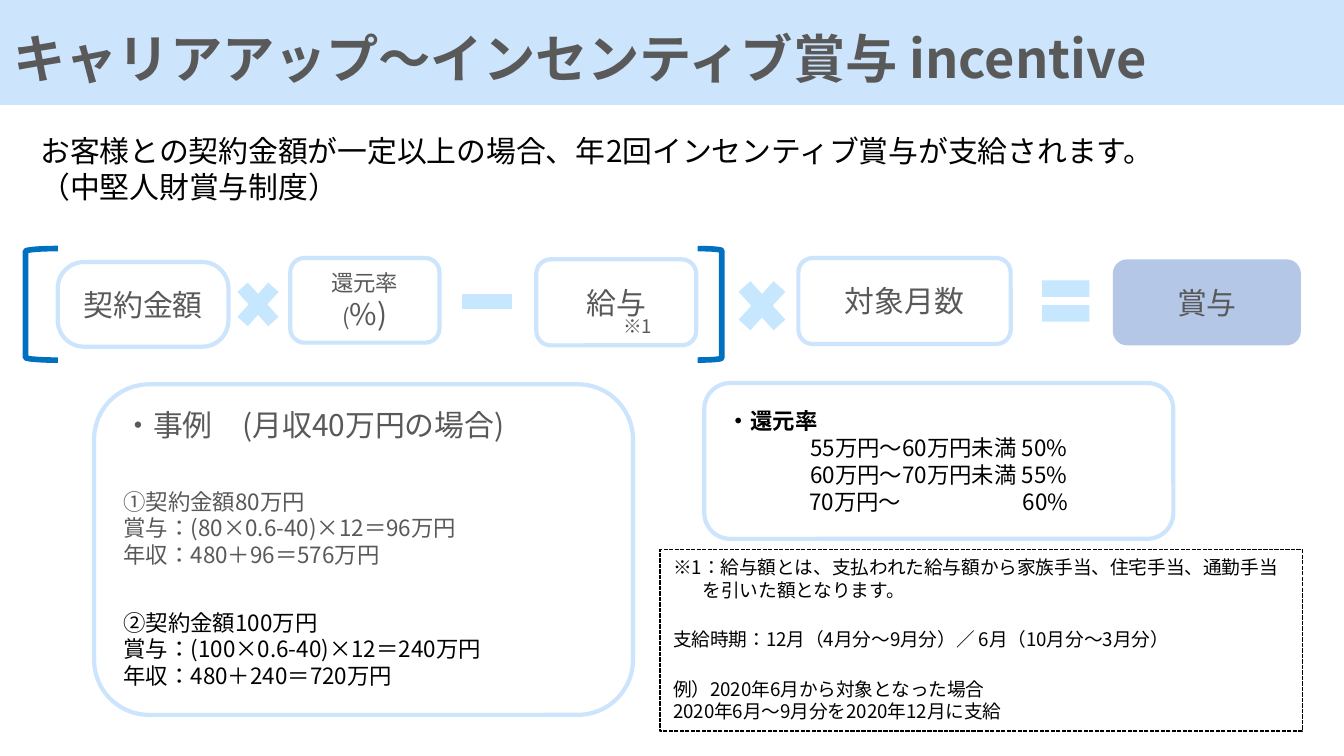
from lxml import etree
from pptx import Presentation
from pptx.dml.color import RGBColor
from pptx.enum.dml import MSO_LINE
from pptx.enum.lang import MSO_LANGUAGE_ID
from pptx.enum.shapes import MSO_SHAPE
from pptx.enum.text import MSO_ANCHOR, MSO_AUTO_SIZE, PP_ALIGN
from pptx.oxml.ns import qn
from pptx.util import Inches, Pt

ROUND, RECT = MSO_SHAPE.ROUNDED_RECTANGLE, MSO_SHAPE.RECTANGLE
TIMES, MINUS, EQUAL = MSO_SHAPE.MATH_MULTIPLY, MSO_SHAPE.MATH_MINUS, MSO_SHAPE.MATH_EQUAL
OPEN, CLOSE = MSO_SHAPE.LEFT_BRACKET, MSO_SHAPE.RIGHT_BRACKET
TOP, MIDDLE, BOTTOM = MSO_ANCHOR.TOP, MSO_ANCHOR.MIDDLE, MSO_ANCHOR.BOTTOM
LEFT, CENTER = PP_ALIGN.LEFT, PP_ALIGN.CENTER
JAPANESE = MSO_LANGUAGE_ID.JAPANESE

FONT = "Noto Sans CJK JP"
GRAY, BLACK = "595959", "000000"
PALE, SIGN, RESULT, BRACKET = "CDE4FD", "C6E7FE", "B4C7E7", "0070C0"
TERM_INSETS = (0.12, 0, 0.12, 0)
PLAIN_INSETS = (0.1, 0.05, 0.1, 0.05)

# Content: a line is (spans, options), a span is (text, size, color, bold)
TITLE = [([("キャリアアップ～インセンティブ賞与 incentive", 28, GRAY, True)], {})]
INTRO = [
    ([("お客様との契約金額が一定以上の場合、年2回インセンティブ賞与が支給されます。", 16, BLACK, False)], {}),
    ([("（中堅人財賞与制度）", 16, BLACK, False)], {}),
]
TERMS = [  # position, fill, (text, size) spans
    ((0.43, 1.95, 1.27, 0.63), None, [("契約金額", 16)]),
    ((2.16, 1.92, 1.11, 0.63), None, [("還元率(", 12), ("%)", 16)]),
    ((3.99, 1.93, 1.19, 0.64), None, [("給与", 16)]),
    ((5.94, 1.92, 1.58, 0.64), None, [("対象月数", 16)]),
    ((8.28, 1.93, 1.4, 0.64), RESULT, [("賞与", 16)]),
]
SIGNS = [
    (TIMES, (1.7, 2.02, 0.44, 0.49)),
    (MINUS, (3.37, 2, 0.51, 0.49)),
    (TIMES, (5.42, 2, 0.5, 0.55)),
    (EQUAL, (7.69, 1.98, 0.48, 0.52)),
]
BRACKETS = [(OPEN, (0.19, 1.85, 0.24, 0.83)), (CLOSE, (5.19, 1.85, 0.18, 0.83))]
FOOTNOTE_MARK = [([("※1", 10, GRAY, False)], {})]
EXAMPLES = [  # text, size, color, space before
    ("・事例　(月収40万円の場合)", 16, GRAY, 0),
    ("①契約金額80万円", 12, GRAY, 24),
    ("賞与：(80×0.6-40)×12＝96万円", 12, GRAY, 0),
    ("年収：480＋96＝576万円", 12, GRAY, 0),
    ("②契約金額100万円", 12, BLACK, 21.6),
    ("賞与：(100×0.6-40)×12＝240万円", 12, BLACK, 0),
    ("年収：480＋240＝720万円", 12, BLACK, 0),
]
RATES = [  # band, rate, widening of the space between them in points
    ("55万円～60万円未満", "50%", 0),
    ("60万円～70万円未満", "55%", 0),
    ("70万円～", "60%", 62.5),
]
NOTES = [  # text, space before, indent
    ("※1：給与額とは、支払われた給与額から家族手当、住宅手当、通勤手当", 0, 0),
    ("を引いた額となります。", 0, 0.22),
    ("支給時期：12月（4月分～9月分）／ 6月（10月分～3月分）", 14.4, 0),
    ("例）2020年6月から対象となった場合", 14.4, 0),
    ("2020年6月～9月分を2020年12月に支給", 0, 0),
]


def color_of(value):
    return RGBColor.from_string(value)


def place(shape, position):
    shape.left, shape.top, shape.width, shape.height = map(Inches, position)


def write(shape, lines, anchor=TOP, insets=PLAIN_INSETS, align=LEFT):
    frame = shape.text_frame
    frame.word_wrap, frame.auto_size = True, MSO_AUTO_SIZE.NONE
    frame.vertical_anchor = anchor
    frame.margin_left, frame.margin_top, frame.margin_right, frame.margin_bottom = map(Inches, insets)
    for number, (spans, options) in enumerate(lines):
        para = frame.add_paragraph() if number else frame.paragraphs[0]
        para.alignment = options.get("align", align)
        para.space_before = Pt(options.get("before", 0))
        properties = para._p.get_or_add_pPr()
        properties.set("marL", str(Inches(options.get("indent", 0))))
        properties.set("indent", "0")
        etree.SubElement(properties, qn("a:buNone"))
        for text, size, color, bold in spans:
            span = para.add_run()
            span.text = text
            span.font.size, span.font.bold, span.font.name = Pt(size), bold, FONT
            span.font.color.rgb = color_of(color)
            span.font.language_id = JAPANESE
            span_properties = span._r.get_or_add_rPr()
            etree.SubElement(span_properties, qn("a:ea"), typeface=FONT)
            if text == " " and options.get("gap"):
                span_properties.set("spc", str(round(options["gap"] * 100)))


def add_box(page, kind, position, fill=None, line=None, width=2.25):
    box = page.shapes.add_shape(kind, *map(Inches, position))
    box.shadow.inherit = False
    if fill:
        box.fill.solid()
        box.fill.fore_color.rgb = color_of(fill)
    else:
        box.fill.background()
    if line:
        box.line.color.rgb = color_of(line)
        box.line.width = Pt(width)
    else:
        box.line.fill.background()
    return box


def main():
    deck = Presentation()
    deck.slide_width, deck.slide_height = Inches(10), Inches(10 * 9 / 16)
    page = deck.slides.add_slide(deck.slide_layouts[1])

    # Title band and introduction
    title, intro = page.shapes.title, page.placeholders[1]
    place(title, (0, 0, 10, 0.78))
    title.fill.solid()
    title.fill.fore_color.rgb = color_of(PALE)
    write(title, TITLE, BOTTOM, (0.1, 0.28, 0.1, 0.12))
    place(intro, (0.2, 0.94, 8.69, 0.67))
    write(intro, INTRO)

    # Formula
    for number, (position, fill, spans) in enumerate(TERMS):
        term = add_box(page, ROUND, position, fill, None if fill else PALE)
        if number == 0:
            term.adjustments[0] = 0.31
        line = ([(text, size, GRAY, False) for text, size in spans], {})
        write(term, [line], MIDDLE, TERM_INSETS, CENTER)
    for kind, position in SIGNS:
        add_box(page, kind, position, SIGN)
    for kind, position in BRACKETS:
        add_box(page, kind, position, None, BRACKET, 3)
    mark = page.shapes.add_textbox(*map(Inches, (4.54, 2.29, 0.57, 0.27)))
    write(mark, FOOTNOTE_MARK)

    # Worked examples
    examples = add_box(page, ROUND, (0.7, 2.86, 4.01, 2.46), None, PALE)
    write(examples, [([(text, size, color, False)], {"before": before})
                     for text, size, color, before in EXAMPLES])

    # Return rates
    rates = add_box(page, ROUND, (5.24, 2.85, 3.49, 1.16), None, PALE)
    rate_lines = [([("・還元率", 12, BLACK, True)], {"align": LEFT})]
    rate_lines += [([(text, 12, BLACK, False) for text in (band, " ", rate)], {"gap": gap})
                   for band, rate, gap in RATES]
    write(rates, rate_lines, MIDDLE, TERM_INSETS, CENTER)

    # Notes
    notes = add_box(page, RECT, (4.91, 4.09, 4.78, 1.35), None, BLACK, 0.75)
    notes.line.dash_style = MSO_LINE.SQUARE_DOT
    write(notes, [([(text, 10, BLACK, False)], {"before": before, "indent": indent})
                  for text, before, indent in NOTES])

    deck.save("out.pptx")


if __name__ == "__main__":
    main()
